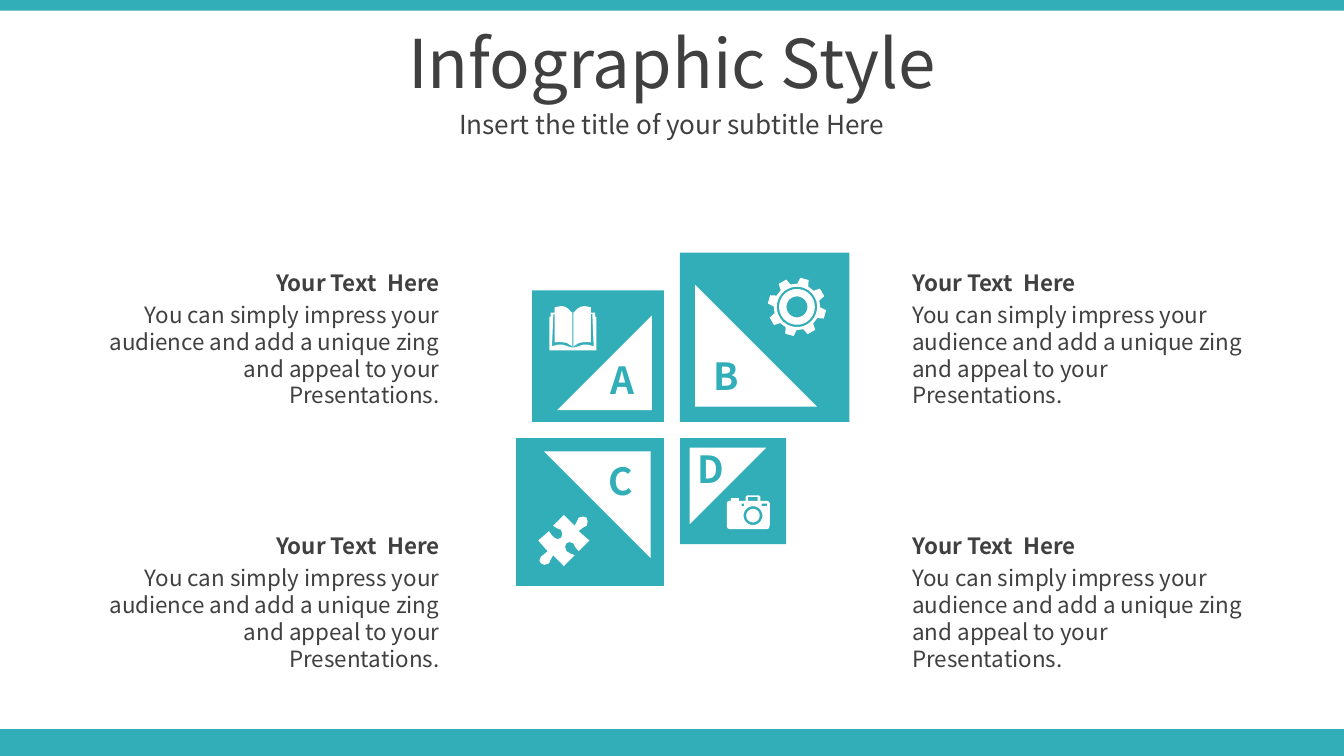
import math

import pptx
import pptx.dml.color
import pptx.enum.shapes
import pptx.enum.text
import pptx.util

WIDTH = 10
HEIGHT = WIDTH * 9 / 16
TEAL = pptx.dml.color.RGBColor(0x32, 0xAE, 0xB8)
WHITE = pptx.dml.color.RGBColor(0xFF, 0xFF, 0xFF)
GREY = pptx.dml.color.RGBColor(0x40, 0x40, 0x40)
FONT = "Noto Sans CJK KR"
LINE_HEIGHT = 1.2

SHAPES = pptx.enum.shapes.MSO_SHAPE
ALIGN = pptx.enum.text.PP_ALIGN
ANCHOR = pptx.enum.text.MSO_ANCHOR

CENTRE_X, CENTRE_Y = WIDTH / 2, 3.2
HALF_GAP = 0.06
TRIANGLE_SHARE, INSET_SHARE = 0.72, 0.09
LETTER_SIDE = 0.44

HEADING = "Your Text  Here"
BODY = ("You can simply impress your audience and add a unique zing "
        "and appeal to your Presentations.")


def inches(*lengths):
    return [pptx.util.Inches(length) for length in lengths]


def paint(shape, colour):
    shape.shadow.inherit = False
    shape.fill.solid()
    shape.fill.fore_color.rgb = colour
    shape.line.fill.background()


def add_block(slide, kind, box, colour, rotation=0):
    shape = slide.shapes.add_shape(kind, *inches(*box))
    shape.rotation = rotation
    paint(shape, colour)


def write(shape, text, size, align, colour=GREY, bold=False, anchor=ANCHOR.TOP):
    frame = shape.text_frame
    frame.text = text
    frame.word_wrap = True
    frame.auto_size = pptx.enum.text.MSO_AUTO_SIZE.NONE
    frame.vertical_anchor = anchor
    paragraph = frame.paragraphs[0]
    paragraph.alignment = align
    paragraph.line_spacing = pptx.util.Pt(size * LINE_HEIGHT)
    paragraph.font.color.rgb = colour
    values = {"name": FONT, "size": pptx.util.Pt(size), "bold": bold}
    for name, value in values.items():
        setattr(paragraph.font, name, value)


def add_text(slide, box, text, size, align, **options):
    write(slide.shapes.add_textbox(*inches(*box)), text, size, align, **options)


def circle(x, y, radius, steps=40):
    angles = [2 * math.pi * step / steps for step in range(steps)]
    return [(x + radius * math.cos(a), y + radius * math.sin(a)) for a in angles]


def rectangle(left, top, right, bottom):
    return [(left, top), (right, top), (right, bottom), (left, bottom)]


def book():
    """Outlines on a grid of 35 by 33; inner outlines are holes."""
    half = [(0, 33), (0, 8), (1, 8), (1, 5), (4, 5), (4, 1), (6.5, 0.4), (9, 0),
            (11.5, 0.5), (14, 2), (17, 5)]
    page_edge = [(3, 6), (2, 30), (6, 28.8), (10, 28.8), (17, 31), (17, 30),
                 (13, 27.5), (9, 26.8), (4, 27), (4, 6)]

    def mirror(points):
        return [(35 - x, y) for x, y in points]

    return [half + mirror(half)[::-1], page_edge, mirror(page_edge),
            rectangle(17.2, 5, 17.8, 31)]


def gear(teeth=8):
    """Outlines on a grid of 43 by 43."""
    middle, rim = 21.5, []
    for number in range(teeth):
        for offset, radius in ((-14, 17.3), (-8.5, 21.8), (8.5, 21.8), (14, 17.3)):
            angle = math.radians(15 + number * 360 / teeth + offset)
            rim.append((middle + radius * math.sin(angle),
                        middle - radius * math.cos(angle)))
    return [rim] + [circle(middle, middle, radius) for radius in (15, 13.3, 7.8)]


def puzzle():
    """Outline on a grid of 38 by 38."""
    return [[(36, 2), (36.8, 5), (36, 8), (33, 9.6), (30, 12), (38, 19), (30, 27),
             (27.6, 24), (26, 21), (23.1, 20.2), (21, 21), (19.9, 23.6), (21, 27),
             (23.6, 28.5), (27, 30), (19, 38), (11, 30), (9.1, 33.4), (8, 36),
             (4.6, 37.1), (2, 36), (0.9, 33.9), (2, 31), (4.1, 29.4), (7, 27),
             (0, 19), (8, 12), (9.6, 14.5), (12, 17), (14.5, 18), (17, 17),
             (17.9, 14.4), (17, 11), (14, 9.9), (11, 8), (19, 0), (27, 8),
             (28.5, 5.4), (30, 2), (33.4, 1.2)]]


def camera():
    """Outlines on a grid of 32 by 25."""
    body = [(2, 4), (3, 4), (3, 2), (9, 2), (9, 4), (14, 4), (14, 1), (15, 0),
            (24, 0), (25, 1), (25, 4), (30, 4), (31.4, 4.6), (32, 6), (32, 22),
            (31.4, 24.4), (30, 25), (2, 25), (0.6, 24.4), (0, 23), (0, 6), (0.6, 4.6)]
    return [body, circle(19.5, 15, 7), circle(19.5, 15, 5), rectangle(11, 6, 13, 8),
            rectangle(26, 6, 30, 8), rectangle(16, 1, 23, 4)]


def add_icon(slide, left, top, outlines):
    """Draw outlines given in hundredths of an inch."""
    contours = [[inches(left + x / 100, top + y / 100) for x, y in outline]
                for outline in outlines]
    builder = slide.shapes.build_freeform(*contours[0][0], scale=1.0)
    for number, contour in enumerate(contours):
        if number:
            builder.move_to(*contour[0])
        builder.add_line_segments(contour[1:], close=True)
    paint(builder.convert_to_shape(), WHITE)


def add_tile(slide, column, row, side, letter, reach, icon, icon_share):
    """Place a square whose inner corner faces the centre; reach leads to the letter."""
    toward_x, toward_y = 2 * column - 1, 2 * row - 1
    inner_x = CENTRE_X + toward_x * HALF_GAP
    inner_y = CENTRE_Y + toward_y * HALF_GAP
    left, top = inner_x - (1 - column) * side, inner_y - (1 - row) * side
    add_block(slide, SHAPES.RECTANGLE, (left, top, side, side), TEAL)

    corner_x = inner_x + toward_x * INSET_SHARE * side
    corner_y = inner_y + toward_y * INSET_SHARE * side
    leg = TRIANGLE_SHARE * side
    rotation = {(0, 0): 270, (1, 0): 0, (0, 1): 180, (1, 1): 90}[column, row]
    add_block(slide, SHAPES.RIGHT_TRIANGLE,
              (corner_x - (1 - column) * leg, corner_y - (1 - row) * leg, leg, leg),
              WHITE, rotation)
    add_text(slide, (corner_x + toward_x * reach - LETTER_SIDE / 2,
                     corner_y + toward_y * reach - LETTER_SIDE / 2,
                     LETTER_SIDE, LETTER_SIDE),
             letter, 20, ALIGN.CENTER, colour=TEAL, bold=True)
    add_icon(slide, left + icon_share[0] * side, top + icon_share[1] * side, icon())


def add_caption(slide, left, top, width, align):
    add_text(slide, (left, top, width, 0.3), HEADING, 12, align, bold=True)
    add_text(slide, (left, top + 0.24, width, 0.91), BODY, 12, align)


def add_header(slide):
    title = slide.shapes.title
    title.left, title.top, title.width, title.height = inches(0, 0.14, WIDTH, 0.63)
    write(title, "Infographic Style", 36, ALIGN.CENTER, anchor=ANCHOR.MIDDLE)
    add_text(slide, (0, 0.77, WIDTH, 0.31), "Insert the title of your subtitle Here",
             14, ALIGN.CENTER, anchor=ANCHOR.MIDDLE)


def main():
    presentation = pptx.Presentation()
    presentation.slide_width, presentation.slide_height = inches(WIDTH, HEIGHT)
    slide = presentation.slides.add_slide(presentation.slide_layouts[5])

    for top, height in ((HEIGHT - 0.2, 0.2), (0, 0.08)):
        add_block(slide, SHAPES.RECTANGLE, (0, top, WIDTH, height), TEAL)
    add_header(slide)

    tiles = [(0, 0, 0.98, "A", 0.22, book, (0.13, 0.12)),
             (1, 0, 1.26, "B", 0.23, gear, (0.52, 0.15)),
             (0, 1, 1.1, "C", 0.22, puzzle, (0.15, 0.52)),
             (1, 1, 0.79, "D", 0.16, camera, (0.44, 0.54))]
    for tile in tiles:
        add_tile(slide, *tile)

    for left, align in ((0.59, ALIGN.RIGHT), (6.69, ALIGN.LEFT)):
        for top in (1.95, 3.91):
            add_caption(slide, left, top, 2.78, align)

    presentation.save("out.pptx")


if __name__ == "__main__":
    main()
